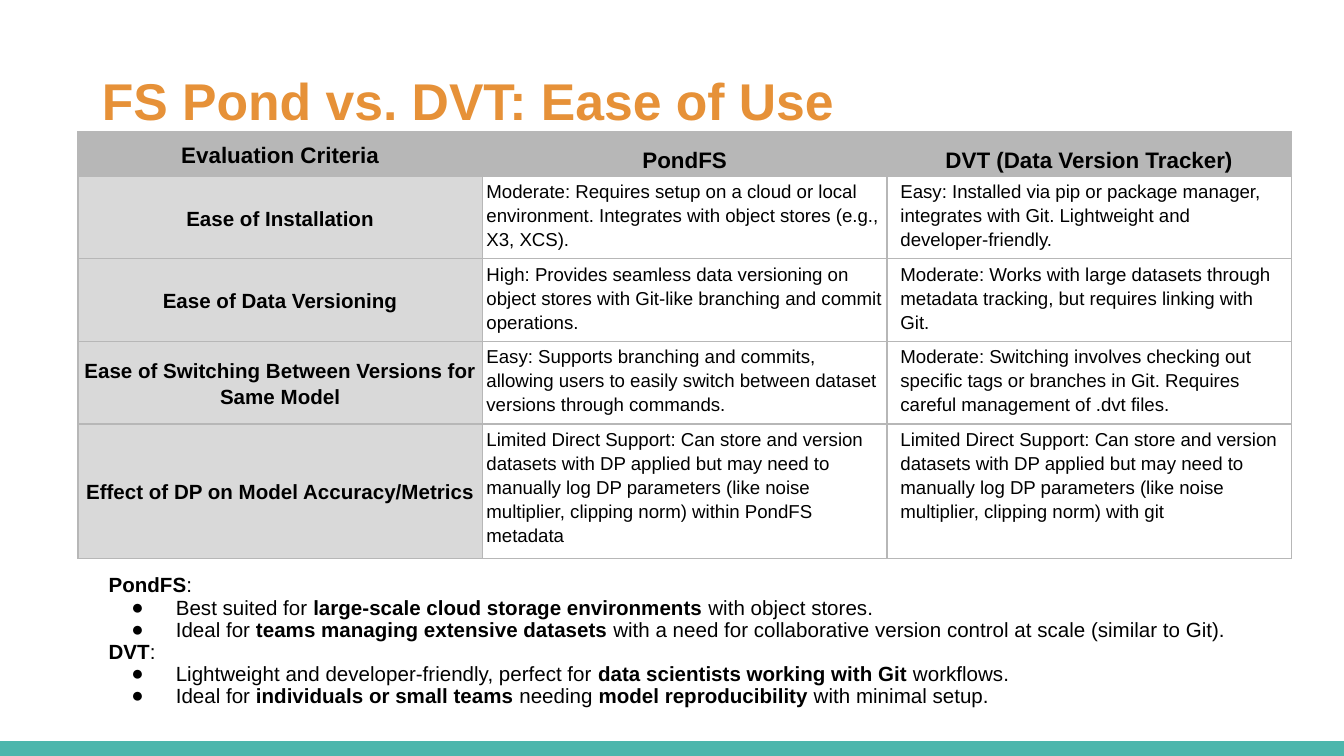
from dataclasses import dataclass

from lxml import etree
from pptx import Presentation
from pptx.dml.color import RGBColor
from pptx.enum.shapes import MSO_SHAPE
from pptx.enum.text import MSO_ANCHOR, PP_ALIGN
from pptx.oxml.ns import qn
from pptx.util import Inches, Pt

TOP, MIDDLE, BOTTOM = MSO_ANCHOR.TOP, MSO_ANCHOR.MIDDLE, MSO_ANCHOR.BOTTOM
LEFT, CENTER = PP_ALIGN.LEFT, PP_ALIGN.CENTER
RECTANGLE = MSO_SHAPE.RECTANGLE


@dataclass(frozen=True)
class Theme:
    """Colours, type sizes and lengths shared by the slide."""
    font: str = "Arial"
    ink: str = "000000"
    accent: str = "E69138"
    footer: str = "4DB6AC"
    header: str = "B7B7B7"
    criterion: str = "D9D9D9"
    border: str = "B7B7B7"
    border_width: float = 0.83
    title_size: float = 27.7
    header_size: float = 12
    label_size: float = 11
    cell_size: float = 10
    narrow_inset: float = 0.03
    wide_inset: float = 0.1


THEME = Theme()
WIDTH = 10
HEIGHT = WIDTH * 9 / 16
COLUMN_WIDTH = 3.01
ROW_HEIGHTS = [0.33, 0.42, 0.37, 0.39, 0.11]

HEADINGS = ["Evaluation Criteria", "PondFS", "DVT (Data Version Tracker)"]
CRITERIA = [
    ["Ease of Installation",
     "Moderate: Requires setup on a cloud or local environment. Integrates with "
     "object stores (e.g., X3, XCS).",
     "Easy: Installed via pip or package manager, integrates with Git. "
     "Lightweight and developer-friendly."],
    ["Ease of Data Versioning",
     "High: Provides seamless data versioning on object stores with Git-like "
     "branching and commit operations.",
     "Moderate: Works with large datasets through metadata tracking, but "
     "requires linking with Git."],
    ["Ease of Switching Between Versions for Same Model",
     "Easy: Supports branching and commits, allowing users to easily switch "
     "between dataset versions through commands.",
     "Moderate: Switching involves checking out specific tags or branches in "
     "Git. Requires careful management of .dvt files."],
    ["Effect of DP on Model Accuracy/Metrics",
     "Limited Direct Support: Can store and version datasets with DP applied but "
     "may need to manually log DP parameters (like noise multiplier, clipping "
     "norm) within PondFS metadata",
     "Limited Direct Support: Can store and version datasets with DP applied but "
     "may need to manually log DP parameters (like noise multiplier, clipping "
     "norm) with git"],
]
SUMMARY = {
    "PondFS": [
        "Best suited for **large-scale cloud storage environments** with object stores.",
        "Ideal for **teams managing extensive datasets** with a need for "
        "collaborative version control at scale (similar to Git).",
    ],
    "DVT": [
        "Lightweight and developer-friendly, perfect for **data scientists "
        "working with Git** workflows.",
        "Ideal for **individuals or small teams** needing **model "
        "reproducibility** with minimal setup.",
    ],
}


def rgb(code):
    """Turn a hex code into a colour."""
    return RGBColor.from_string(code)


def write(paragraph, text, size, color=THEME.ink, bold=False, align=LEFT, spacing=1.15):
    """Write text in a paragraph; parts between double asterisks are bold."""
    paragraph.alignment = align
    paragraph.line_spacing = spacing
    for index, part in enumerate(text.split("**")):
        if part:
            run = paragraph.add_run()
            run.text = part
            run.font.name = THEME.font
            run.font.size = Pt(size)
            run.font.bold = bold or index % 2 == 1
            run.font.color.rgb = rgb(color)


def add_bullet(paragraph, size):
    """Give a paragraph a hanging round bullet."""
    properties = paragraph._p.get_or_add_pPr()
    properties.set("marL", str(Inches(0.5)))
    properties.set("indent", str(Inches(-0.33)))
    color = etree.SubElement(properties, qn("a:buClr"))
    etree.SubElement(color, qn("a:srgbClr"), val=THEME.ink)
    etree.SubElement(properties, qn("a:buSzPts"), val=str(size * 100))
    etree.SubElement(properties, qn("a:buFont"), typeface=THEME.font)
    etree.SubElement(properties, qn("a:buChar"), char="●")


def add_text_frame(slide, left, top, width, height, anchor=TOP):
    """Add a wrapping text box and return its frame."""
    frame = slide.shapes.add_textbox(*map(Inches, (left, top, width, height))).text_frame
    frame.word_wrap = True
    frame.vertical_anchor = anchor
    frame.margin_left = frame.margin_right = Inches(THEME.wide_inset)
    frame.margin_top = frame.margin_bottom = Inches(THEME.wide_inset)
    return frame


def add_borders(cell):
    """Draw the four borders of a cell."""
    properties = cell._tc.get_or_add_tcPr()
    for index, side in enumerate(("lnL", "lnR", "lnT", "lnB")):
        line = etree.Element(qn(f"a:{side}"), w=str(Pt(THEME.border_width)))
        fill = etree.SubElement(line, qn("a:solidFill"))
        etree.SubElement(fill, qn("a:srgbClr"), val=THEME.border)
        properties.insert(index, line)


def fill_cell(cell, text, inset, anchor=TOP, fill=None, **text_format):
    """Set the text, margins, fill and borders of a cell."""
    cell.vertical_anchor = anchor
    cell.margin_left = cell.margin_right = Inches(inset)
    cell.margin_top = cell.margin_bottom = Inches(0.02)
    if fill:
        cell.fill.solid()
        cell.fill.fore_color.rgb = rgb(fill)
    else:
        cell.fill.background()
    write(cell.text_frame.paragraphs[0], text, **text_format)
    add_borders(cell)


def add_comparison(slide, left, top):
    """Add the table that compares both tools; its rows grow with their text."""
    narrow, wide = THEME.narrow_inset, THEME.wide_inset
    table = slide.shapes.add_table(
        len(ROW_HEIGHTS), len(HEADINGS), Inches(left), Inches(top),
        Inches(COLUMN_WIDTH * len(HEADINGS)), Inches(sum(ROW_HEIGHTS))).table
    table.horz_banding = False
    for column in table.columns:
        column.width = Inches(COLUMN_WIDTH)
    for row, height in zip(table.rows, ROW_HEIGHTS):
        row.height = Inches(height)
    header_styles = zip(HEADINGS, (wide, narrow, wide), (MIDDLE, BOTTOM, BOTTOM))
    for column, (heading, inset, anchor) in enumerate(header_styles):
        fill_cell(table.cell(0, column), heading, inset, anchor, THEME.header,
                  size=THEME.header_size, bold=True, align=CENTER)
    for row, (criterion, *ratings) in enumerate(CRITERIA, start=1):
        fill_cell(table.cell(row, 0), criterion, narrow, MIDDLE, THEME.criterion,
                  size=THEME.label_size, bold=True, align=CENTER)
        for column, (rating, inset) in enumerate(zip(ratings, (narrow, wide)), start=1):
            fill_cell(table.cell(row, column), rating, inset, size=THEME.cell_size)


def add_summary(slide, left, top, width, height):
    """Add the bulleted recommendation for each tool."""
    frame = add_text_frame(slide, left, top, width, height)
    lines = [(text, is_point) for tool, points in SUMMARY.items()
             for text, is_point in [(f"**{tool}**:", False), *((p, True) for p in points)]]
    for index, (text, is_point) in enumerate(lines):
        paragraph = frame.add_paragraph() if index else frame.paragraphs[0]
        write(paragraph, text, THEME.label_size, spacing=0.9)
        if is_point:
            add_bullet(paragraph, THEME.label_size)


def add_footer(slide, height):
    """Add the coloured band along the bottom edge."""
    band = slide.shapes.add_shape(
        RECTANGLE, 0, Inches(HEIGHT - height), Inches(WIDTH), Inches(height))
    band.shadow.inherit = False
    band.fill.solid()
    band.fill.fore_color.rgb = rgb(THEME.footer)
    band.line.fill.background()


def main():
    """Build and save the slide."""
    presentation = Presentation()
    presentation.slide_width, presentation.slide_height = Inches(WIDTH), Inches(HEIGHT)
    slide = presentation.slides.add_slide(presentation.slide_layouts[6])
    add_footer(slide, 0.11)
    title = add_text_frame(slide, 0.66, 0.32, 9.32, 0.77, MIDDLE)
    write(title.paragraphs[0], "FS Pond vs. DVT: Ease of Use", THEME.title_size,
          color=THEME.accent, bold=True)
    add_comparison(slide, 0.58, 0.98)
    add_summary(slide, 0.71, 4.18, 9.22, 1.13)
    presentation.save("out.pptx")


if __name__ == "__main__":
    main()
